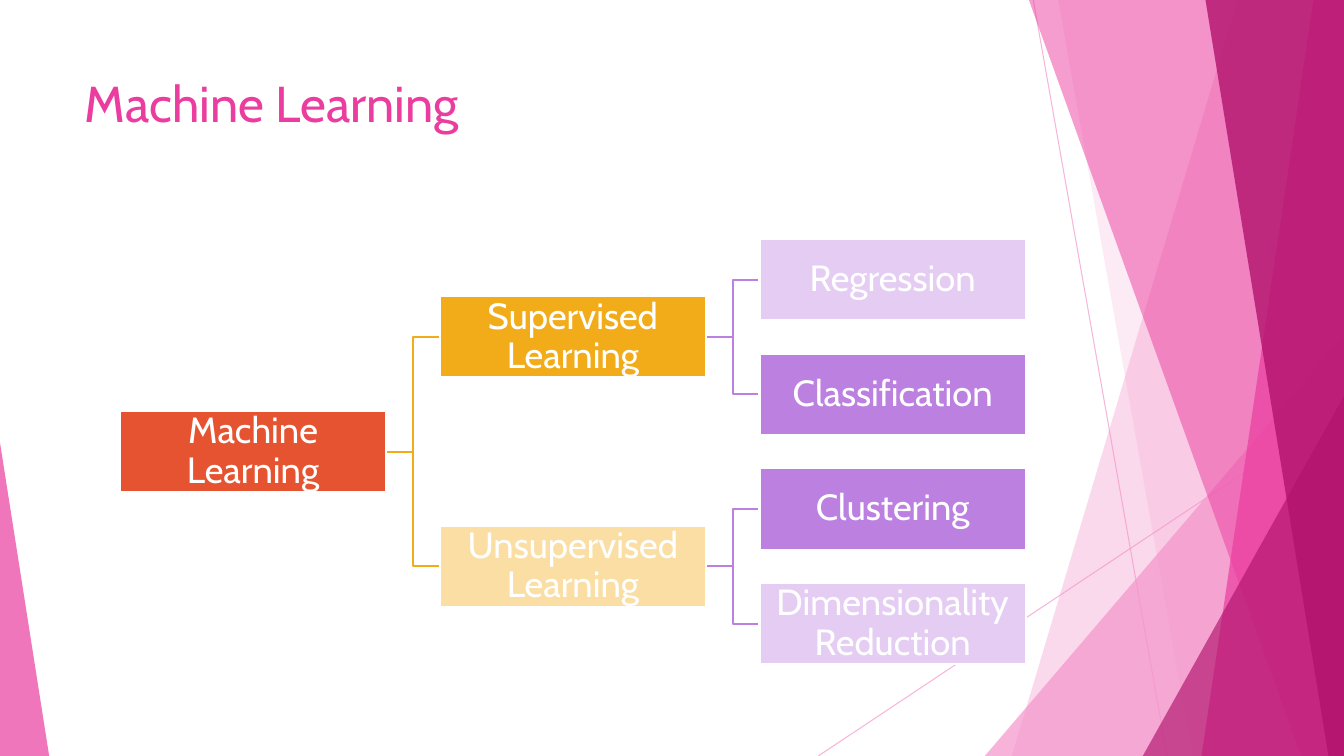
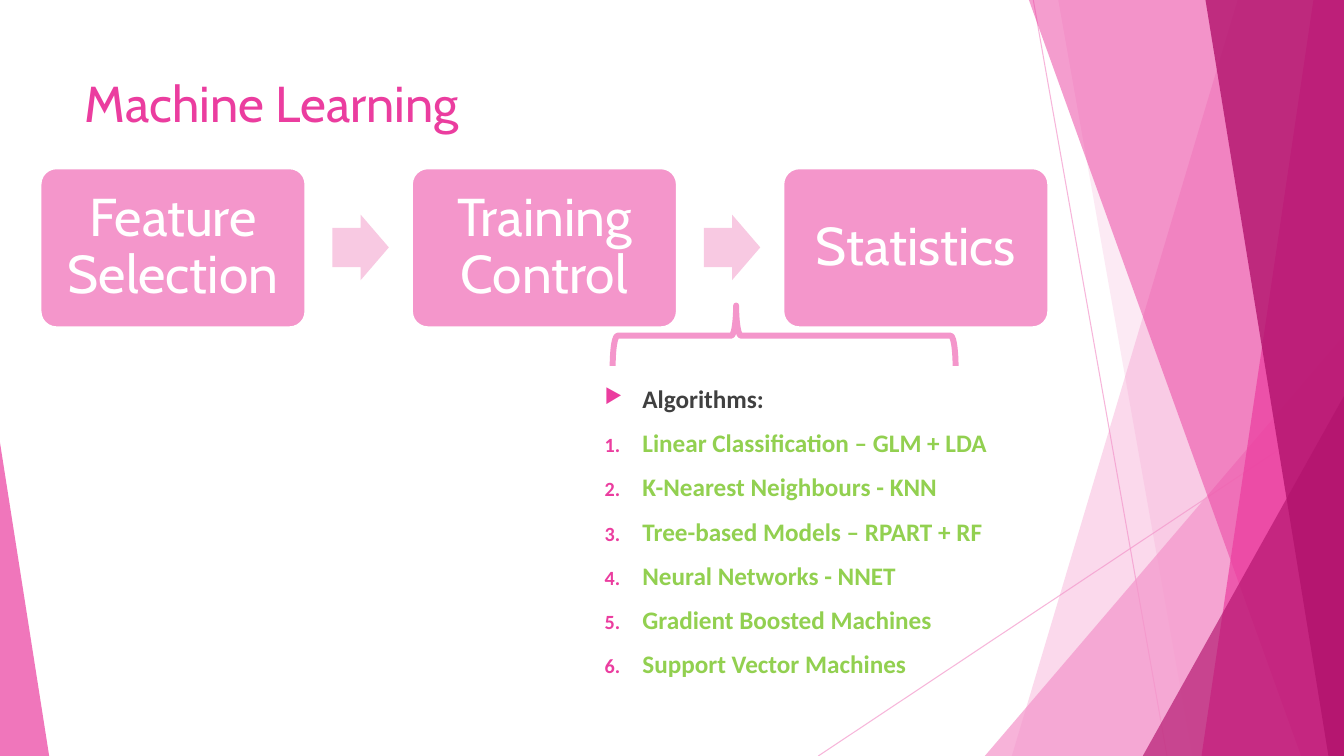
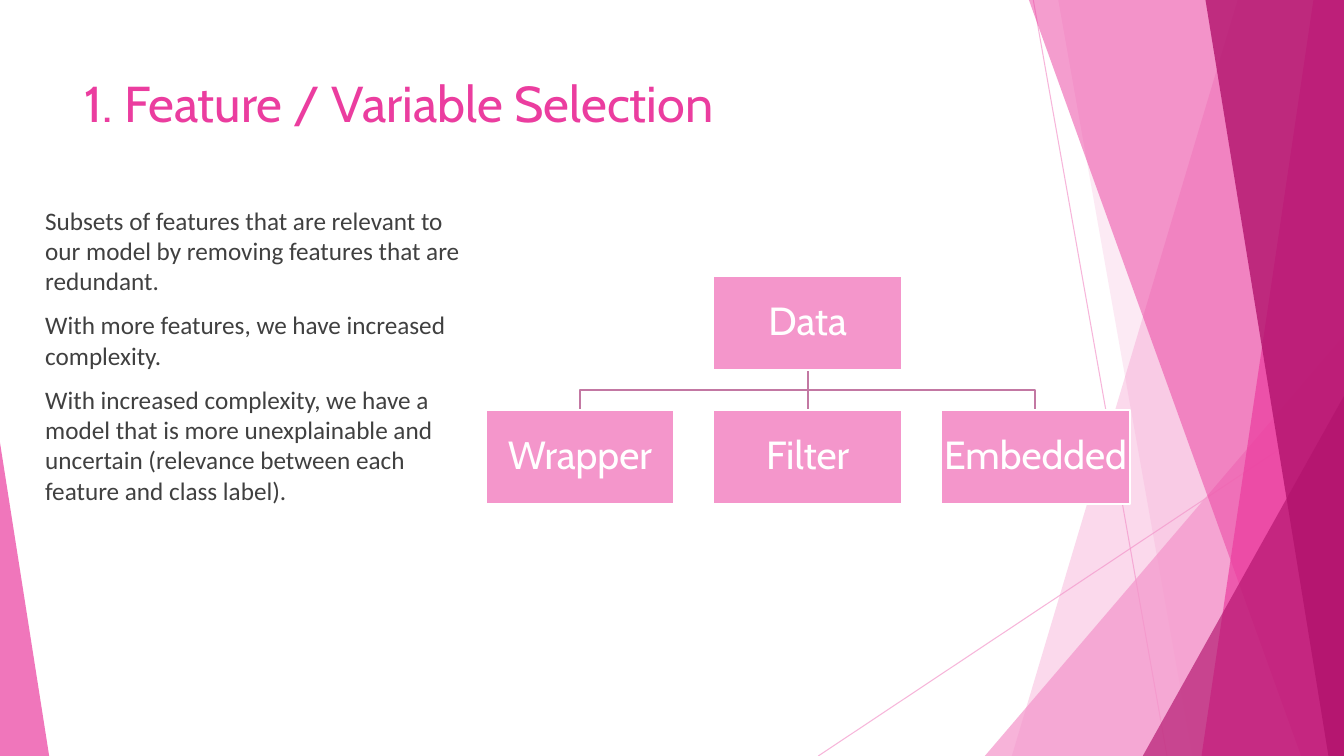
from dataclasses import dataclass

from lxml import etree
from pptx import Presentation
from pptx.dml.color import RGBColor
from pptx.enum.dml import MSO_FILL
from pptx.enum.shapes import MSO_CONNECTOR, MSO_SHAPE
from pptx.enum.text import MSO_ANCHOR, MSO_AUTO_SIZE, PP_ALIGN
from pptx.oxml.ns import qn
from pptx.shapes.autoshape import Shape
from pptx.shapes.connector import Connector
from pptx.slide import Slide, SlideLayout
from pptx.text.text import TextFrame, _Paragraph as Paragraph
from pptx.util import Cm, Pt

RECTANGLE = MSO_SHAPE.RECTANGLE
ROUNDED = MSO_SHAPE.ROUNDED_RECTANGLE
TRIANGLE = MSO_SHAPE.ISOSCELES_TRIANGLE
ARROW = MSO_SHAPE.RIGHT_ARROW
BRACE = MSO_SHAPE.LEFT_BRACE
STRAIGHT = MSO_CONNECTOR.STRAIGHT
SOLID = MSO_FILL.SOLID
TOP, MIDDLE = MSO_ANCHOR.TOP, MSO_ANCHOR.MIDDLE
LEFT, CENTER = PP_ALIGN.LEFT, PP_ALIGN.CENTER
NO_FIT = MSO_AUTO_SIZE.NONE

WHITE = RGBColor(0xFF, 0xFF, 0xFF)
CHARCOAL = RGBColor(0x40, 0x40, 0x40)
PINK = RGBColor(0xF4, 0x96, 0xCB)
PALE_PINK = RGBColor(0xF8, 0xC9, 0xE2)
MAGENTA = RGBColor(0xEB, 0x3D, 0x9F)
DEEP_MAGENTA = RGBColor(0xB2, 0x13, 0x6D)
MAUVE = RGBColor(0xC3, 0x78, 0xA3)
RED = RGBColor(0xE6, 0x53, 0x31)
AMBER = RGBColor(0xF2, 0xAC, 0x19)
PALE_AMBER = RGBColor(0xFA, 0xDE, 0xA3)
PURPLE = RGBColor(0xBC, 0x80, 0xE0)
PALE_PURPLE = RGBColor(0xE4, 0xCC, 0xF3)
GREEN = RGBColor(0x92, 0xD0, 0x50)

HEADING_FONT = "Cabin"
BODY_FONT = "Calibri"
WIDTH, HEIGHT = 33.87, 19.05

Point = tuple[float, float]


@dataclass(frozen=True)
class Area:
    left: float
    top: float
    width: float
    height: float


@dataclass(frozen=True)
class Band:
    top_x: float
    bottom_x: float
    color: RGBColor
    opacity: int


@dataclass(frozen=True)
class Corner:
    area: Area
    apex: float
    color: RGBColor
    opacity: int


@dataclass(frozen=True)
class Node:
    text: str
    column: float
    row: float
    fill: RGBColor
    parent: "Node | None" = None
    link: RGBColor = MAUVE


@dataclass(frozen=True)
class Grid:
    left: float
    top: float
    column_step: float
    row_step: float
    width: float
    height: float
    size: float
    sideways: bool

    def area(self, node: Node) -> Area:
        return Area(self.left + node.column * self.column_step,
                    self.top + node.row * self.row_step, self.width, self.height)


RAYS = [((26.04, 0), (29.41, HEIGHT)), ((WIDTH, 10.24), (20.62, HEIGHT))]
BACKDROP: list[Band | Corner] = [
    Band(31.19, 25.5, PINK, 36),
    Band(26.67, 30.05, PINK, 20),
    Corner(Area(24.82, 8.46, 9.05, 10.59), 1, PINK, 72),
    Band(25.93, 32.79, MAGENTA, 50),
    Band(33.1, 30.28, MAGENTA, 70),
    Band(30.38, 33.48, DEEP_MAGENTA, 80),
    Corner(Area(28.8, 9.98, 5.07, 9.07), 1, DEEP_MAGENTA, 66),
    Corner(Area(0, 11.15, 1.24, 7.9), 0, MAGENTA, 70),
]
TITLE_AREA = Area(1.88, 1.7, 23.88, 3.66)


def place(area: Area) -> tuple[Cm, Cm, Cm, Cm]:
    return Cm(area.left), Cm(area.top), Cm(area.width), Cm(area.height)


def set_opacity(shape: Shape | Connector, percent: int) -> None:
    for color in shape.element.iter(qn("a:srgbClr")):
        etree.SubElement(color, qn("a:alpha"), val=str(percent * 1000))


def paint(shape: Shape, fill: RGBColor | None = None,
          line: RGBColor | None = None, weight: float = 1.5) -> None:
    shape.shadow.inherit = False
    if fill is None:
        shape.fill.background()
    else:
        shape.fill.solid()
        shape.fill.fore_color.rgb = fill
    if line is None:
        shape.line.fill.background()
    else:
        shape.line.color.rgb = line
        shape.line.width = Pt(weight)


def set_font(paragraph: Paragraph, name: str, size: float, color: RGBColor,
             bold: bool = False) -> None:
    font = paragraph.font
    font.name, font.size, font.bold = name, Pt(size), bold
    font.color.rgb = color


def add_line(slide: Slide, start: Point, end: Point, color: RGBColor,
             weight: float) -> Connector:
    line = slide.shapes.add_connector(
        STRAIGHT, Cm(start[0]), Cm(start[1]), Cm(end[0]), Cm(end[1]))
    line.line.color.rgb = color
    line.line.width = Pt(weight)
    etree.SubElement(line.element.spPr, qn("a:effectLst"))
    return line


def add_outline(slide: Slide, points: list[Point], close: bool) -> Shape:
    corners = [(Cm(x), Cm(y)) for x, y in points]
    builder = slide.shapes.build_freeform(*corners[0])
    builder.add_line_segments(corners[1:], close=close)
    return builder.convert_to_shape()


def add_box(slide: Slide, kind: MSO_SHAPE, area: Area, text: str,
            fill: RGBColor, size: float, inset: float) -> Shape:
    box = slide.shapes.add_shape(kind, *place(area))
    paint(box, fill, WHITE)
    frame = box.text_frame
    frame.word_wrap = True
    frame.vertical_anchor = MIDDLE
    frame.margin_left = frame.margin_right = Cm(inset)
    frame.margin_top = frame.margin_bottom = Cm(inset)
    paragraph = frame.paragraphs[0]
    paragraph.text = text
    paragraph.alignment = CENTER
    paragraph.line_spacing = 0.9
    set_font(paragraph, HEADING_FONT, size, WHITE)
    return box


def add_text_area(slide: Slide, area: Area) -> TextFrame:
    frame = slide.shapes.add_textbox(*place(area)).text_frame
    frame.word_wrap = True
    return frame


def fill_paragraphs(frame: TextFrame, lines: list[str]) -> list[Paragraph]:
    frame.text = "\n".join(lines)
    for paragraph in frame.paragraphs:
        paragraph.space_before = Pt(10)
    return list(frame.paragraphs)


def add_bullet(paragraph: Paragraph, tag: str, **marker: str) -> None:
    properties = paragraph._p.get_or_add_pPr()
    properties.set("marL", str(Cm(0.95)))
    properties.set("indent", str(-Cm(0.95)))
    color = etree.SubElement(properties, qn("a:buClr"))
    etree.SubElement(color, qn("a:srgbClr"), val=str(MAGENTA))
    etree.SubElement(properties, qn("a:buSzPct"), val="80000")
    etree.SubElement(properties, qn(tag), **marker)


def draw_backdrop(slide: Slide) -> list[Shape | Connector]:
    drawn: list[Shape | Connector] = []
    for start, end in RAYS:
        ray = add_line(slide, start, end, PINK, 0.75)
        set_opacity(ray, 70)
        drawn.append(ray)
    for part in BACKDROP:
        if isinstance(part, Band):
            shape = add_outline(slide, [(part.top_x, 0), (WIDTH, 0), (WIDTH, HEIGHT),
                                        (part.bottom_x, HEIGHT)], close=True)
        else:
            shape = slide.shapes.add_shape(TRIANGLE, *place(part.area))
            shape.adjustments[0] = part.apex
        paint(shape, part.color)
        set_opacity(shape, part.opacity)
        drawn.append(shape)
    return drawn


def move_to_layout(layout: SlideLayout, shapes: list[Shape | Connector]) -> None:
    tree = layout.shapes.element
    for footer in list(layout.placeholders)[1:]:
        tree.remove(footer.element)
    for index, shape in enumerate(shapes, start=2):
        tree.insert(index, shape.element)


def set_title(slide: Slide, text: str) -> None:
    title = slide.shapes.title
    title.left, title.top, title.width, title.height = place(TITLE_AREA)
    frame = title.text_frame
    frame.text = text
    frame.auto_size = NO_FIT
    frame.vertical_anchor = TOP
    frame.paragraphs[0].alignment = LEFT
    set_font(frame.paragraphs[0], HEADING_FONT, 36, MAGENTA)


def draw_link(slide: Slide, parent: Area, child: Area, color: RGBColor,
              sideways: bool) -> None:
    if sideways:
        start = (parent.left + parent.width, parent.top + parent.height / 2)
        end = (child.left, child.top + child.height / 2)
        bend = (start[0] + end[0]) / 2
        turns = [(bend, start[1]), (bend, end[1])]
    else:
        start = (parent.left + parent.width / 2, parent.top + parent.height)
        end = (child.left + child.width / 2, child.top)
        bend = (start[1] + end[1]) / 2
        turns = [(start[0], bend), (end[0], bend)]
    if start[0] == end[0]:
        add_line(slide, start, end, color, 1.5)
    else:
        paint(add_outline(slide, [start, *turns, end], close=False), line=color)


def draw_tree(slide: Slide, nodes: list[Node], grid: Grid) -> None:
    for node in nodes:
        if node.parent:
            draw_link(slide, grid.area(node.parent), grid.area(node), node.link,
                      grid.sideways)
    for node in nodes:
        add_box(slide, RECTANGLE, grid.area(node), node.text, node.fill, grid.size, 0.04)


def build_learning_types(slide: Slide) -> None:
    set_title(slide, "Machine Learning")
    root = Node("Machine Learning", 0, 1.5, RED)
    supervised = Node("Supervised Learning", 1, 0.5, AMBER, root, AMBER)
    unsupervised = Node("Unsupervised Learning", 1, 2.5, PALE_AMBER, root, AMBER)
    nodes = [
        root, supervised, unsupervised,
        Node("Regression", 2, 0, PALE_PURPLE, supervised, PURPLE),
        Node("Classification", 2, 1, PURPLE, supervised, PURPLE),
        Node("Clustering", 2, 2, PURPLE, unsupervised, PURPLE),
        Node("Dimensionality Reduction", 2, 3, PALE_PURPLE, unsupervised, PURPLE),
    ]
    draw_tree(slide, nodes, Grid(3.02, 6.02, 8.06, 2.89, 6.72, 2.05, 26, True))


def build_workflow(slide: Slide) -> None:
    set_title(slide, "Machine Learning")
    step = 9.36
    for index, text in enumerate(["Feature Selection", "Training Control", "Statistics"]):
        if index:
            arrow_left = 8.38 + (index - 1) * step
            arrow = slide.shapes.add_shape(ARROW, *place(Area(arrow_left, 5.41, 1.42, 1.65)))
            arrow.adjustments[0], arrow.adjustments[1] = 0.6, 0.5
            paint(arrow, PALE_PINK)
        area = Area(1.02 + index * step, 4.24, 6.68, 4.01)
        box = add_box(slide, ROUNDED, area, text, PINK, 38, 0.53)
        box.adjustments[0] = 0.1

    frame = add_text_area(slide, Area(14.99, 9.53, 11.46, 8.13))
    heading, *algorithms = fill_paragraphs(frame, [
        "Algorithms:",
        "Linear Classification – GLM + LDA",
        "K-Nearest Neighbours - KNN",
        "Tree-based Models – RPART + RF",
        "Neural Networks - NNET",
        "Gradient Boosted Machines",
        "Support Vector Machines",
    ])
    add_bullet(heading, "a:buChar", char="▶")
    set_font(heading, BODY_FONT, 18, CHARCOAL, bold=True)
    for paragraph in algorithms:
        add_bullet(paragraph, "a:buAutoNum", type="arabicPeriod")
        set_font(paragraph, BODY_FONT, 18, GREEN, bold=True)

    brace = slide.shapes.add_shape(BRACE, *place(Area(19, 4.14, 1.52, 8.64)))
    brace.rotation = 90
    brace.adjustments[0], brace.adjustments[1] = 0.08, 0.64
    paint(brace, line=PINK, weight=4.25)


def build_feature_selection(slide: Slide) -> None:
    set_title(slide, "1. Feature / Variable Selection")
    frame = add_text_area(slide, Area(0.89, 5.04, 11.35, 11.96))
    for paragraph in fill_paragraphs(frame, [
        "Subsets of features that are relevant to our model by removing features "
        "that are redundant.",
        "With more features, we have increased complexity.",
        "With increased complexity, we have a model that is more unexplainable and "
        "uncertain (relevance between each feature and class label).",
    ]):
        set_font(paragraph, BODY_FONT, 18, CHARCOAL)

    data = Node("Data", 1, 0, PINK)
    methods = [Node(text, column, 1, PINK, data)
               for column, text in enumerate(["Wrapper", "Filter", "Embedded"])]
    draw_tree(slide, [data, *methods],
              Grid(12.24, 6.96, 5.79 - 0.05, 3.38, 4.75, 2.36, 28, False))


def main() -> None:
    deck = Presentation()
    deck.slide_width, deck.slide_height = Cm(WIDTH), Cm(HEIGHT)
    layout = deck.slide_layouts[5]
    pages = [deck.slides.add_slide(layout) for _ in range(3)]
    move_to_layout(layout, draw_backdrop(pages[0]))
    build_learning_types(pages[0])
    build_workflow(pages[1])
    build_feature_selection(pages[2])
    deck.save("out.pptx")


main()
